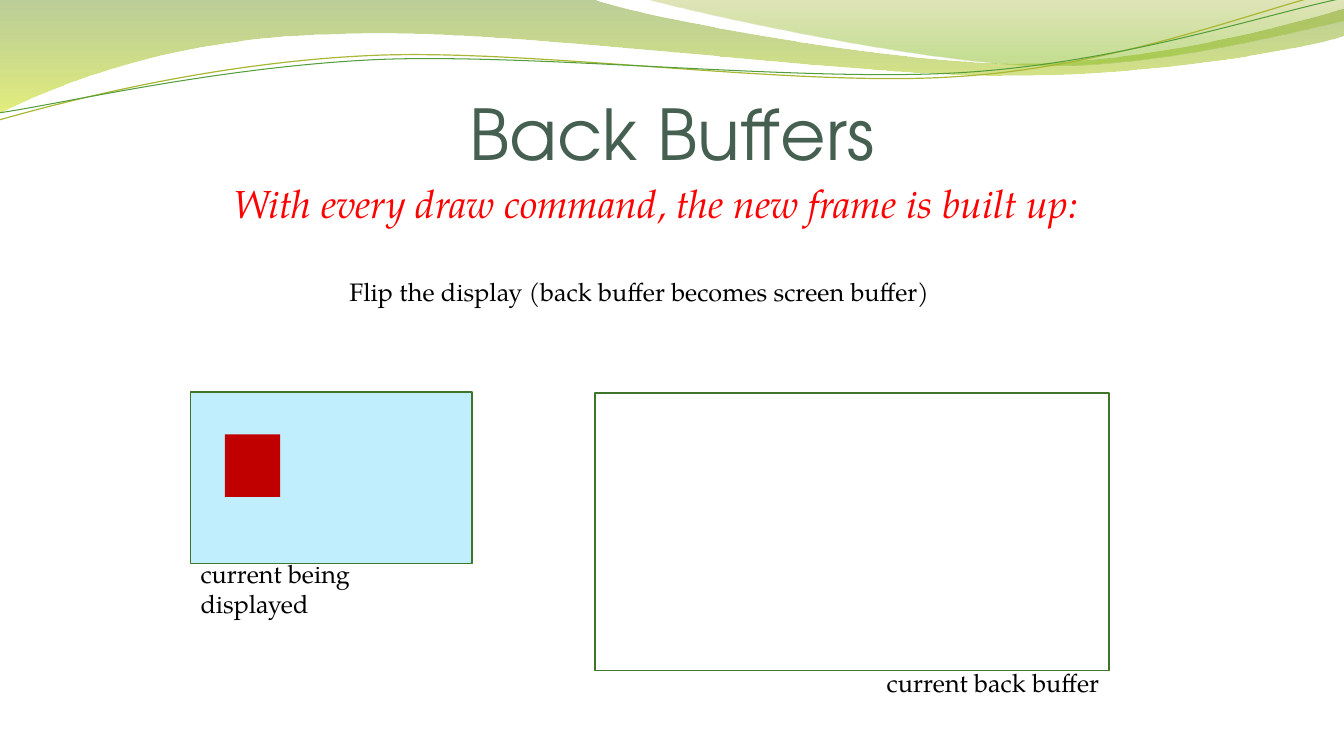
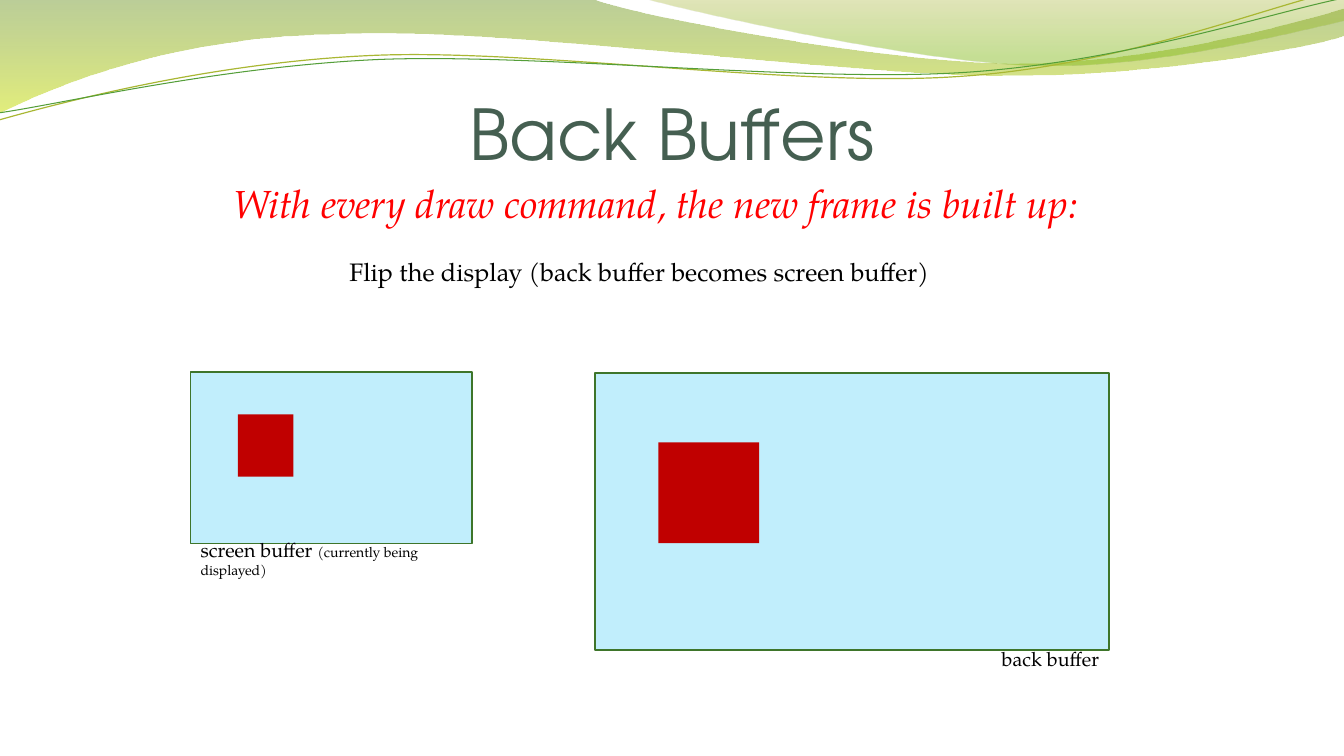
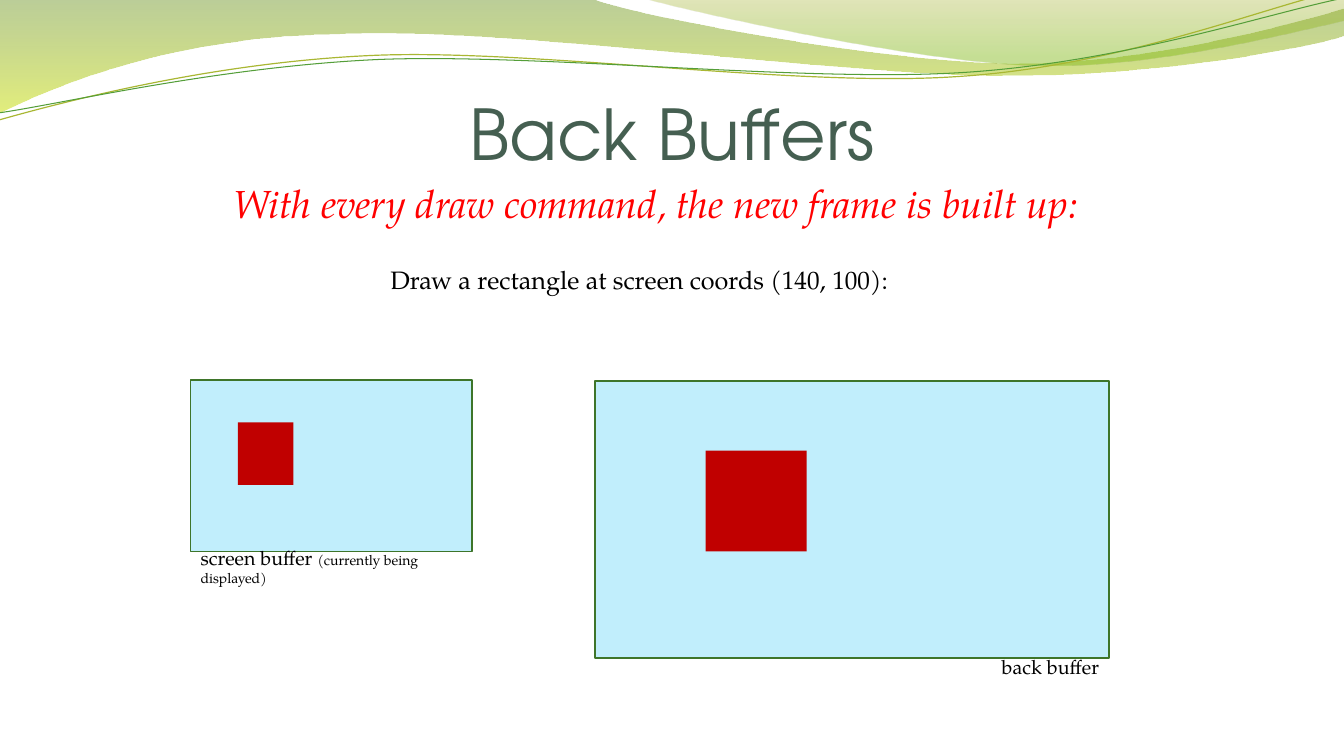
from lxml import etree
from pptx import Presentation
from pptx.dml.color import RGBColor
from pptx.enum.shapes import MSO_SHAPE
from pptx.enum.text import MSO_ANCHOR, MSO_AUTO_SIZE, PP_ALIGN
from pptx.oxml import parse_xml
from pptx.oxml.ns import nsdecls, qn
from pptx.util import Inches, Pt

RECTANGLE = MSO_SHAPE.RECTANGLE
LEFT, CENTER, RIGHT = PP_ALIGN.LEFT, PP_ALIGN.CENTER, PP_ALIGN.RIGHT
TOP, BOTTOM = MSO_ANCHOR.TOP, MSO_ANCHOR.BOTTOM
GROW, FIXED = MSO_AUTO_SIZE.SHAPE_TO_FIT_TEXT, MSO_AUTO_SIZE.NONE

COLORS = {
    "title": "455F51", "subtitle": "FF0000", "text": "000000",
    "border": "3E752A", "empty": "FFFFFF", "cleared": "C1EEFC", "square": "C00000",
    "olive": "69921C", "lime": "CCE10F", "moss": "9BAA1A", "leaf": "81BA16",
    "olive line": "A9B733", "green line": "549E39",
}
TITLE_FONT, BODY_FONT = "TeX Gyre Adventor", "TeX Gyre Pagella"

# Content
TITLE = "Back Buffers"
SUBTITLE = "With every draw command, the new frame is built up:"
FLIP = "Flip the display (back buffer becomes screen buffer)"
SCREEN_CAPTION = [("screen buffer ", 14), ("(currently being displayed)", 10)]
BACK_CAPTION = [("back buffer", 14)]

# Square offsets run from the left edge of their buffer, in inches
SLIDES = [
    {"message": FLIP, "top": 3.89, "screen_square": 0.34,
     "back_fill": "empty", "back_square": None,
     "screen_caption": [("current being displayed", 18)],
     "back_caption": [("current back buffer", 18)]},
    {"message": FLIP, "top": 3.69, "screen_square": 0.47,
     "back_fill": "cleared", "back_square": 0.63,
     "screen_caption": SCREEN_CAPTION, "back_caption": BACK_CAPTION},
    {"message": "Draw a rectangle at screen coords (140, 100):", "top": 3.77,
     "screen_square": 0.47, "back_fill": "cleared", "back_square": 1.1,
     "screen_caption": SCREEN_CAPTION, "back_caption": BACK_CAPTION},
]

# Header bands and lines: one point is a straight step, three are a Bezier curve
BANDS = [
    {"start": (0, 0),
     "steps": [[(5.87, -0.01)],
               [(6.34, 0.17), (8.84, 0.63), (10.11, 0.63)],
               [(11.37, 0.63), (12.77, 0.26), (13.33, 0.09)],
               [(13.34, 0.36)],
               [(13.11, 0.44), (11.59, 0.76), (9.94, 0.75)],
               [(8.29, 0.75), (5.09, 0.28), (3.43, 0.34)],
               [(1.72, 0.36), (0.61, 0.83), (-0.02, 1.13)],
               [(0, 0)]],
     "stops": [(0, "olive", 45), (100, "lime", 55)]},
    {"start": (6.38, -0.01),
     "steps": [[(6.79, 0.11), (9.09, 0.62), (10.25, 0.65)],
               [(11.4, 0.69), (12.82, 0.32), (13.33, 0.21)],
               [(13.33, 0)],
               [(6.38, -0.01)]],
     "stops": [(0, "moss", 30), (80, "leaf", 45)]},
]
WAVES = [
    {"start": (-0.01, 1.19), "color": "olive line", "width": 0.85,
     "steps": [[(0.63, 1.01), (2.1, 0.62), (3.69, 0.55)],
               [(5.27, 0.48), (7.89, 0.87), (9.49, 0.76)],
               [(11.1, 0.66), (12.51, 0.08), (13.3, -0.1)]]},
    {"start": (-0.01, 1.12), "color": "green line", "width": 0.75,
     "steps": [[(0.62, 1.03), (2.18, 0.66), (3.77, 0.59)],
               [(5.37, 0.53), (7.96, 0.82), (9.55, 0.72)],
               [(11.14, 0.62), (12.55, 0.14), (13.33, -0.02)]]},
]

# Layout, in inches
MARGIN, TEXT_WIDTH = 1.89, 8.9
SCREEN_SIZE, BACK_SIZE = (2.79, 1.7), (5.1, 2.75)
BACK_LEFT = 5.9
SCREEN_SQUARE, BACK_SQUARE = (0.55, 0.62), (1, 1)


def color(name):
    return RGBColor.from_string(COLORS[name])


def add_outline(page, outline, close):
    """Draw all points as straight steps, then join each curve's three into one."""
    points = [(Inches(x), Inches(y)) for step in outline["steps"] for x, y in step]
    builder = page.shapes.build_freeform(*map(Inches, outline["start"]))
    builder.add_line_segments(points, close=close)
    shape = builder.convert_to_shape()
    segments = iter(list(shape.element.iter(qn("a:lnTo"))))
    for step in outline["steps"]:
        parts = [next(segments) for _ in step]
        if len(parts) == 3:
            curve = etree.Element(qn("a:cubicBezTo"))
            parts[0].addprevious(curve)
            for part in parts:
                curve.append(part[0])
                part.getparent().remove(part)
    shape.shadow.inherit = False
    shape.fill.background()
    return shape


def set_gradient(shape, stops):
    """Fill from top to bottom with partly transparent colours."""
    gradient = parse_xml(f'<a:gradFill {nsdecls("a")} rotWithShape="1"><a:gsLst/>'
                         '<a:lin ang="5400000" scaled="0"/></a:gradFill>')
    for position, name, opacity in stops:
        stop = etree.SubElement(gradient[0], qn("a:gs"), pos=str(position * 1000))
        tint = etree.SubElement(stop, qn("a:srgbClr"), val=COLORS[name])
        etree.SubElement(tint, qn("a:alpha"), val=str(opacity * 1000))
    properties = shape.element.spPr
    properties.replace(properties.find(qn("a:noFill")), gradient)


def move_header_to_layout(page):
    """Draw the header on a page and hand it to the layout all slides share."""
    layout = page.slide_layout
    for placeholder in list(layout.placeholders):
        layout.shapes.element.remove(placeholder.element)
    header = []
    for band in BANDS:
        shape = add_outline(page, band, close=True)
        shape.line.fill.background()
        set_gradient(shape, band["stops"])
        header.append(shape)
    for wave in WAVES:
        shape = add_outline(page, wave, close=False)
        shape.line.color.rgb = color(wave["color"])
        shape.line.width = Pt(wave["width"])
        header.append(shape)
    for shape in header:
        layout.shapes.element.append(shape.element)


def add_text(page, place, runs, align=LEFT, ink="text", font=BODY_FONT,
             italic=False, anchor=TOP, insets=(0.1, 0.05, 0.1, 0.05), fit=GROW):
    box = page.shapes.add_textbox(*map(Inches, place))
    frame = box.text_frame
    frame.word_wrap = True
    frame.auto_size = fit
    frame.vertical_anchor = anchor
    (frame.margin_left, frame.margin_top,
     frame.margin_right, frame.margin_bottom) = map(Inches, insets)
    para = frame.paragraphs[0]
    para.alignment = align
    para.font.name = font
    para.font.size = Pt(runs[0][1])
    para.font.italic = italic
    para.font.color.rgb = color(ink)
    for text, size in runs:
        span = para.add_run()
        span.text = text
        if size != runs[0][1]:
            span.font.size = Pt(size)


def add_rectangle(page, left, top, size, fill, border=None):
    shape = page.shapes.add_shape(RECTANGLE, *map(Inches, (left, top, *size)))
    shape.shadow.inherit = False
    shape.fill.solid()
    shape.fill.fore_color.rgb = color(fill)
    if border:
        shape.line.color.rgb = color(border)
        shape.line.width = Pt(1)
    else:
        shape.line.fill.background()


def fill_slide(page, content):
    add_text(page, (0.67, 0.77, 12, 0.96), [(TITLE, 50)], CENTER, "title", TITLE_FONT,
             anchor=BOTTOM, insets=(0, 0.05, 0, 0), fit=FIXED)
    add_text(page, (MARGIN, 1.73, TEXT_WIDTH, 0.57), [(SUBTITLE, 28)], RIGHT,
             "subtitle", italic=True)

    # Buffers and their squares
    top = content["top"]
    add_rectangle(page, MARGIN, top, SCREEN_SIZE, "cleared", "border")
    add_rectangle(page, MARGIN + content["screen_square"], top + 0.42,
                  SCREEN_SQUARE, "square")
    add_rectangle(page, BACK_LEFT, top + 0.01, BACK_SIZE, content["back_fill"], "border")
    if content["back_square"] is not None:
        add_rectangle(page, BACK_LEFT + content["back_square"], top + 0.7,
                      BACK_SQUARE, "square")

    # Message and captions
    caption_width = SCREEN_SIZE[0]
    back_caption_left = BACK_LEFT + BACK_SIZE[0] - caption_width
    add_text(page, (MARGIN, top - 1.2, TEXT_WIDTH, 0.4), [(content["message"], 18)], CENTER)
    add_text(page, (MARGIN, top + 1.6, caption_width, 0.4), content["screen_caption"])
    add_text(page, (back_caption_left, top + 2.68, caption_width, 0.4),
             content["back_caption"], RIGHT)


def main():
    deck = Presentation()
    deck.slide_width, deck.slide_height = Inches(13.33), Inches(7.5)
    blank = deck.slide_layouts[6]
    pages = [deck.slides.add_slide(blank) for _ in SLIDES]
    move_header_to_layout(pages[0])
    for page, content in zip(pages, SLIDES):
        fill_slide(page, content)
    deck.save("out.pptx")


if __name__ == "__main__":
    main()
